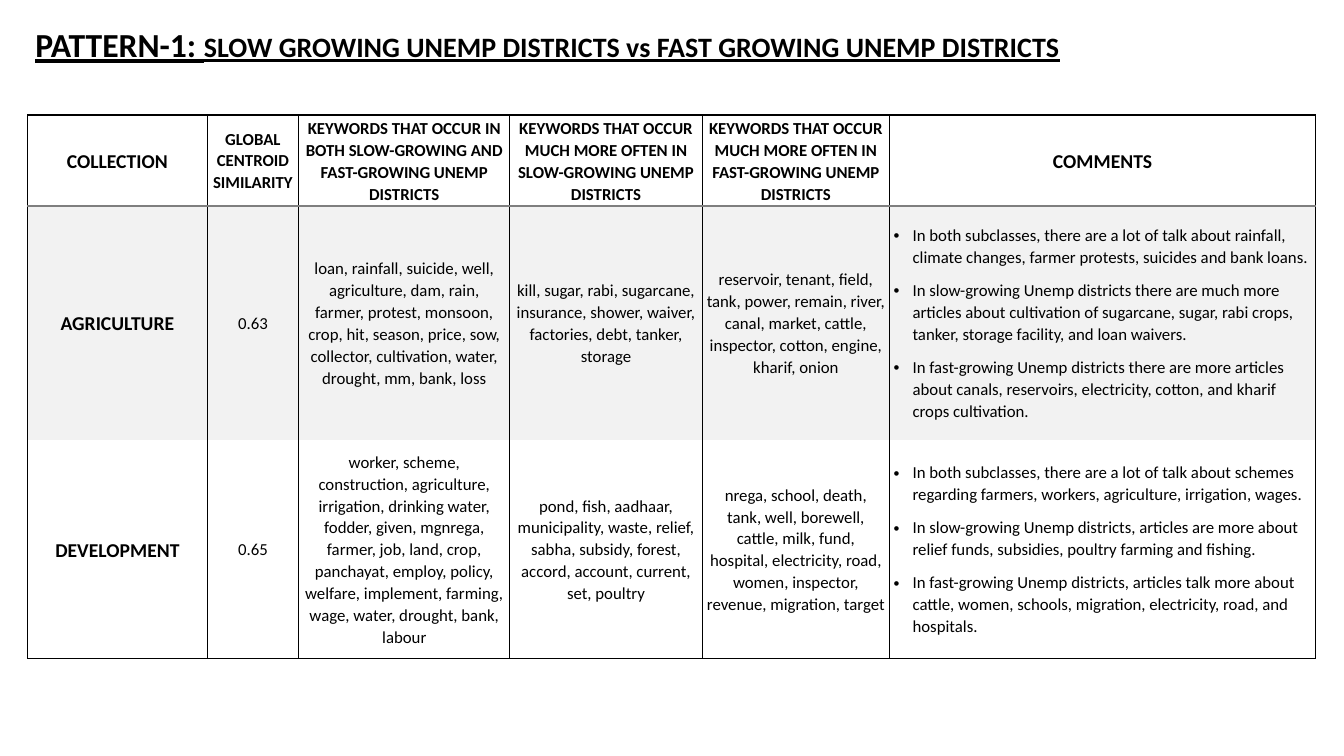
from dataclasses import dataclass

import lxml.etree
import pptx
import pptx.dml.color
import pptx.enum.text
import pptx.oxml.ns
import pptx.presentation
import pptx.shapes.autoshape
import pptx.slide
import pptx.table
import pptx.text.text
import pptx.util

Cm = pptx.util.Cm
Pt = pptx.util.Pt
qn = pptx.oxml.ns.qn
MIDDLE = pptx.enum.text.MSO_ANCHOR.MIDDLE
CENTER = pptx.enum.text.PP_ALIGN.CENTER
LEFT = pptx.enum.text.PP_ALIGN.LEFT


@dataclass(frozen=True)
class Theme:
    font: str = "Calibri"
    ink: str = "000000"
    rule: str = "7F7F7F"
    paper: str = "FFFFFF"
    band: str = "F2F2F2"
    title: int = 24
    subtitle: int = 20
    label: int = 14
    body: int = 12


@dataclass(frozen=True)
class Column:
    heading: str
    width: float
    heading_size: int
    body_size: int
    bold: bool = False
    bulleted: bool = False
    margins: tuple[float, float] = (0.1, 0.02)


@dataclass(frozen=True)
class Collection:
    name: str
    similarity: str
    shared_keywords: str
    slow_keywords: str
    fast_keywords: str
    comments: tuple[str, ...]

    def cells(self) -> list[tuple[str, ...]]:
        single = (self.name, self.similarity, self.shared_keywords,
                  self.slow_keywords, self.fast_keywords)
        return [(text,) for text in single] + [self.comments]


THEME = Theme()
COLUMNS = (
    Column("COLLECTION", 4.52, THEME.label, THEME.label, bold=True),
    Column("GLOBAL CENTROID SIMILARITY", 2.31, THEME.body, THEME.body, margins=(0, 0)),
    Column("KEYWORDS THAT OCCUR IN BOTH SLOW-GROWING AND FAST-GROWING UNEMP DISTRICTS",
           5.32, THEME.body, THEME.body),
    Column("KEYWORDS THAT OCCUR MUCH MORE OFTEN IN SLOW-GROWING UNEMP DISTRICTS",
           4.85, THEME.body, THEME.body),
    Column("KEYWORDS THAT OCCUR MUCH MORE OFTEN IN FAST-GROWING UNEMP DISTRICTS",
           4.72, THEME.body, THEME.body),
    Column("COMMENTS", 10.74, THEME.label, THEME.body, bulleted=True),
)
COLLECTIONS = (
    Collection(
        "AGRICULTURE", "0.63",
        "loan, rainfall, suicide, well, agriculture, dam, rain, farmer, protest, monsoon, "
        "crop, hit, season, price, sow, collector, cultivation, water, drought, mm, bank, loss",
        "kill, sugar, rabi, sugarcane, insurance, shower, waiver, factories, debt, tanker, storage",
        "reservoir, tenant, field, tank, power, remain, river, canal, market, cattle, "
        "inspector, cotton, engine, kharif, onion",
        ("In both subclasses, there are a lot of talk about rainfall, climate changes, "
         "farmer protests, suicides and bank loans.",
         "In slow-growing Unemp districts there are much more articles about cultivation of "
         "sugarcane, sugar, rabi crops, tanker, storage facility, and loan waivers.",
         "In fast-growing Unemp districts there are more articles about canals, reservoirs, "
         "electricity, cotton, and kharif crops cultivation."),
    ),
    Collection(
        "DEVELOPMENT", "0.65",
        "worker, scheme, construction, agriculture, irrigation, drinking water, fodder, given, "
        "mgnrega, farmer, job, land, crop, panchayat, employ, policy, welfare, implement, "
        "farming, wage, water, drought, bank, labour",
        "pond, fish, aadhaar, municipality, waste, relief, sabha, subsidy, forest, accord, "
        "account, current, set, poultry",
        "nrega, school, death, tank, well, borewell, cattle, milk, fund, hospital, "
        "electricity, road, women, inspector, revenue, migration, target",
        ("In both subclasses, there are a lot of talk about schemes regarding farmers, "
         "workers, agriculture, irrigation, wages.",
         "In slow-growing Unemp districts, articles are more about relief funds, subsidies, "
         "poultry farming and fishing.",
         "In fast-growing Unemp districts, articles talk more about cattle, women, schools, "
         "migration, electricity, road, and hospitals."),
    ),
)
ROW_HEIGHTS = (2.29, 5.89, 5.51)
ROW_FILLS = (THEME.paper, THEME.band, THEME.paper)
ROW_EDGES = ((THEME.ink, THEME.rule), (THEME.rule, None), (None, THEME.ink))


def apply_format(target: object, values: dict[str, object]) -> None:
    for name, value in values.items():
        setattr(target, name, value)


def add_run(paragraph: pptx.text.text._Paragraph, text: str, size: int,
            bold: bool, underline: bool = False) -> None:
    run = paragraph.add_run()
    run.text = text
    apply_format(run.font, {"name": THEME.font, "size": Pt(size), "bold": bold,
                            "underline": underline})
    run.font.color.rgb = pptx.dml.color.RGBColor.from_string(THEME.ink)


def add_bullet(paragraph: pptx.text.text._Paragraph) -> None:
    properties = paragraph._p.get_or_add_pPr()
    properties.set("marL", str(Cm(0.48)))
    properties.set("indent", str(Cm(-0.48)))
    lxml.etree.SubElement(properties, qn("a:buFont"), typeface="Arial")
    lxml.etree.SubElement(properties, qn("a:buChar"), char="•")


def set_borders(cell: pptx.table._Cell, top: str | None, bottom: str | None) -> None:
    """Draw black sides and the given horizontal edges; None leaves an edge open."""
    properties = cell._tc.get_or_add_tcPr()
    edges = {"a:lnL": THEME.ink, "a:lnR": THEME.ink, "a:lnT": top, "a:lnB": bottom}
    for position, (tag, color) in enumerate(edges.items()):
        line = lxml.etree.Element(qn(tag), w=str(Pt(1)))
        if color is None:
            lxml.etree.SubElement(line, qn("a:noFill"))
        else:
            fill = lxml.etree.SubElement(line, qn("a:solidFill"))
            lxml.etree.SubElement(fill, qn("a:srgbClr"), val=color)
        properties.insert(position, line)


def fill_cell(cell: pptx.table._Cell, texts: tuple[str, ...], column: Column,
              size: int, bold: bool, bulleted: bool) -> None:
    side, top = column.margins
    apply_format(cell, {"margin_left": Cm(side), "margin_right": Cm(side),
                        "margin_top": Cm(top), "margin_bottom": 0,
                        "vertical_anchor": MIDDLE})
    for index, text in enumerate(texts):
        frame = cell.text_frame
        paragraph = frame.add_paragraph() if index else frame.paragraphs[0]
        apply_format(paragraph, {"alignment": LEFT if bulleted else CENTER,
                                 "line_spacing": 1.07, "space_after": Pt(8)})
        if bulleted:
            add_bullet(paragraph)
        add_run(paragraph, text, size, bold)


def add_title(slide: pptx.slide.Slide) -> None:
    box = slide.shapes.add_textbox(Cm(0.64), Cm(0.48), Cm(27.15), Cm(1.27))
    box.text_frame.word_wrap = True
    paragraph = box.text_frame.paragraphs[0]
    add_run(paragraph, "PATTERN-1: ", THEME.title, True, True)
    add_run(paragraph, "SLOW GROWING UNEMP DISTRICTS vs FAST GROWING UNEMP DISTRICTS",
            THEME.subtitle, True, True)


def add_keyword_table(slide: pptx.slide.Slide) -> None:
    width = sum(column.width for column in COLUMNS)
    table = slide.shapes.add_table(len(ROW_HEIGHTS), len(COLUMNS), Cm(0.7), Cm(2.9),
                                   Cm(width), Cm(sum(ROW_HEIGHTS))).table
    apply_format(table, {"first_row": False, "horz_banding": False})
    for table_column, column in zip(table.columns, COLUMNS):
        table_column.width = Cm(column.width)
    contents = [[(column.heading,) for column in COLUMNS]]
    contents += [collection.cells() for collection in COLLECTIONS]
    for row, texts_by_column in enumerate(contents):
        table.rows[row].height = Cm(ROW_HEIGHTS[row])
        is_heading = row == 0
        for index, (column, texts) in enumerate(zip(COLUMNS, texts_by_column)):
            cell = table.cell(row, index)
            size = column.heading_size if is_heading else column.body_size
            fill_cell(cell, texts, column, size, is_heading or column.bold,
                      column.bulleted and not is_heading)
            cell.fill.solid()
            cell.fill.fore_color.rgb = pptx.dml.color.RGBColor.from_string(ROW_FILLS[row])
            set_borders(cell, *ROW_EDGES[row])


def main() -> None:
    presentation = pptx.Presentation()
    apply_format(presentation, {"slide_width": Cm(33.87), "slide_height": Cm(19.05)})
    slide = presentation.slides.add_slide(presentation.slide_layouts[6])
    add_title(slide)
    add_keyword_table(slide)
    presentation.save("out.pptx")


if __name__ == "__main__":
    main()
